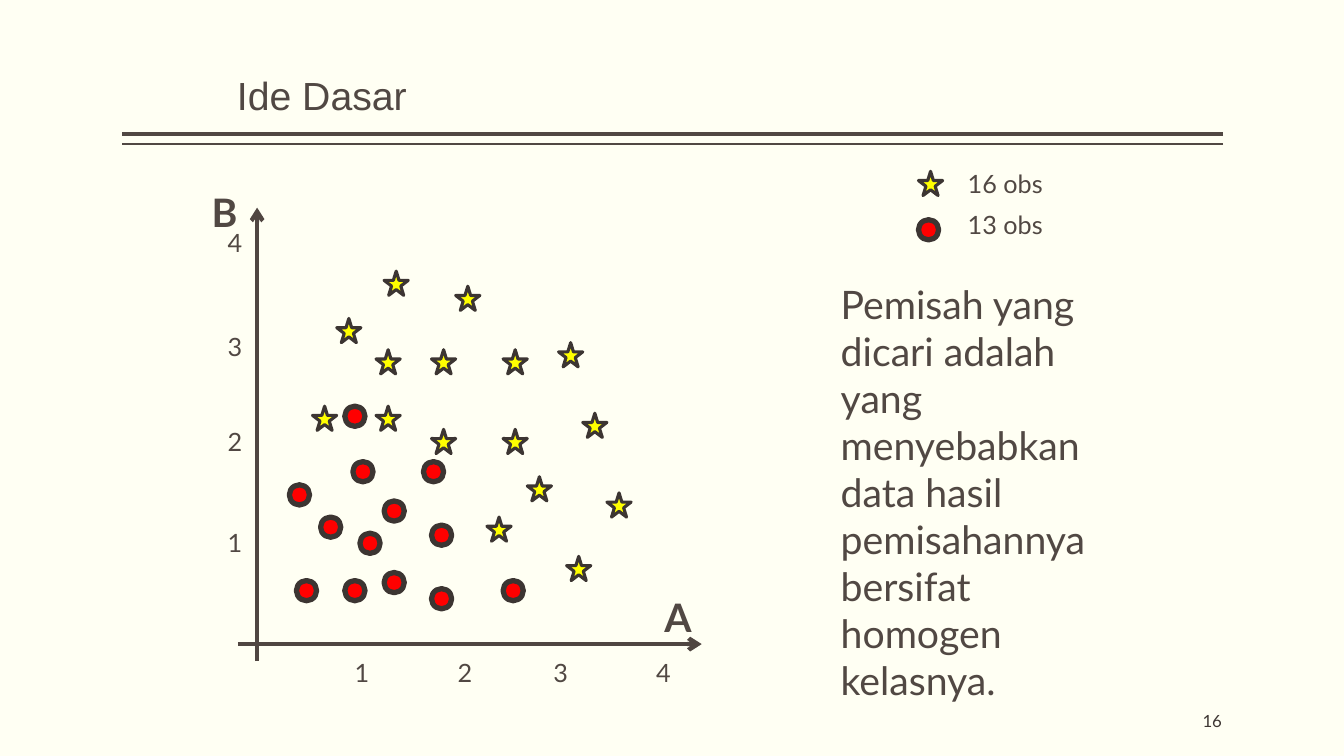
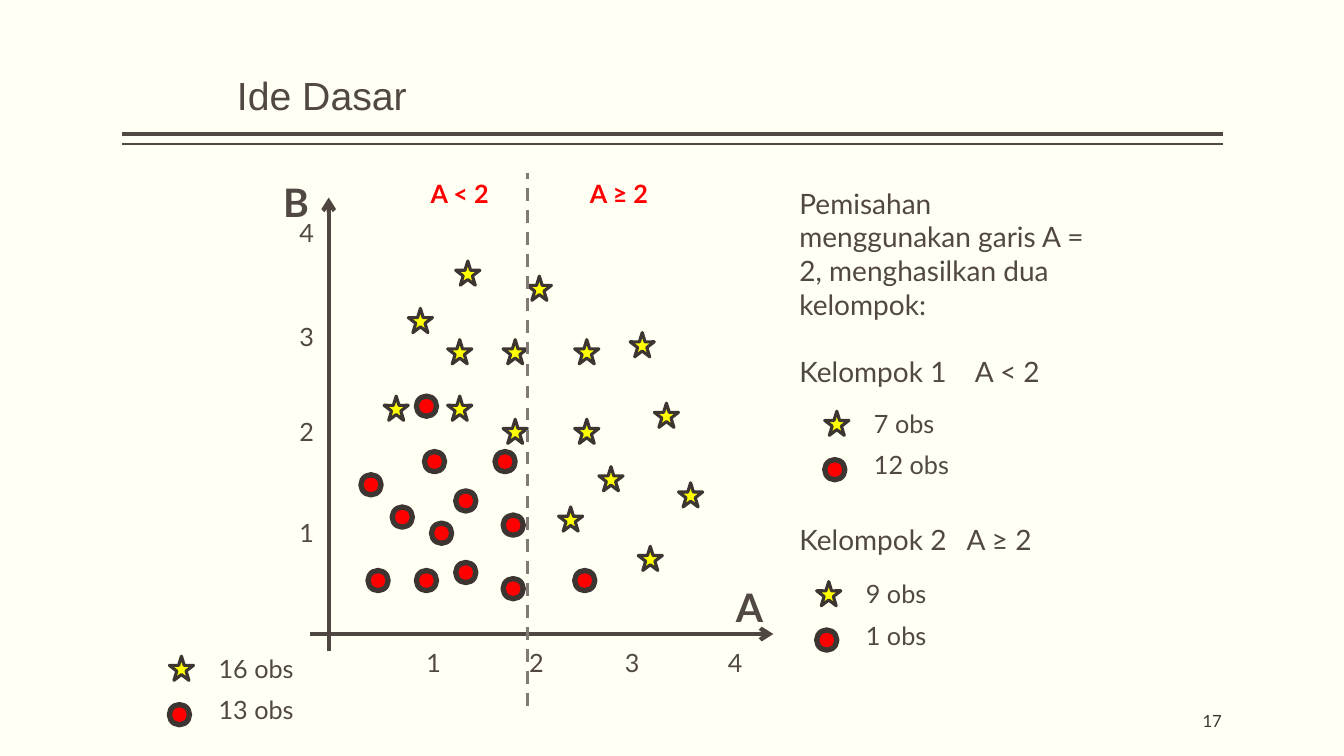
from dataclasses import dataclass
from typing import NamedTuple

from lxml.etree import SubElement
from pptx import Presentation
from pptx.dml.color import RGBColor
from pptx.enum.dml import MSO_LINE
from pptx.enum.shapes import MSO_CONNECTOR, MSO_SHAPE
from pptx.enum.text import MSO_ANCHOR, PP_ALIGN
from pptx.oxml.ns import qn
from pptx.shapes.connector import Connector
from pptx.shapes.shapetree import GroupShapes, SlideShapes
from pptx.slide import Slide
from pptx.text.text import TextFrame
from pptx.util import Inches, Pt

CREAM = RGBColor(0xFF, 0xFF, 0xF3)
BROWN = RGBColor(0x51, 0x48, 0x43)
AXIS = RGBColor(0x50, 0x46, 0x41)
EDGE = RGBColor(0x3C, 0x35, 0x32)
NUMBER = RGBColor(0x3D, 0x36, 0x32)
GREY = RGBColor(0x81, 0x7A, 0x74)
YELLOW = RGBColor(0xFF, 0xFF, 0x00)
RED = RGBColor(0xFF, 0x00, 0x00)

Tree = SlideShapes | GroupShapes


class Point(NamedTuple):
    x: float
    y: float


class Box(NamedTuple):
    x: float
    y: float
    w: float
    h: float


@dataclass(frozen=True)
class Style:
    size: float = 18
    color: RGBColor = BROWN
    bold: bool = False
    face: str = "Lato"
    align: PP_ALIGN = PP_ALIGN.LEFT


@dataclass(frozen=True)
class Mark:
    kind: MSO_SHAPE
    size: float
    fill: RGBColor
    edge: float


@dataclass(frozen=True)
class Line:
    """A text line; a tab stop of 0 means none."""
    text: str
    before: float = 0
    tab: float = 0


LABEL = Style()
AXIS_NAME = Style(28, bold=True)
SIDE = Style(18, RED, True, align=PP_ALIGN.CENTER)
TITLE = Style(28, face="Arial")
PAGE = Style(12, NUMBER, align=PP_ALIGN.RIGHT)

STAR = Mark(MSO_SHAPE.STAR_5_POINT, 0.24, YELLOW, 2.25)
DOT = Mark(MSO_SHAPE.FLOWCHART_CONNECTOR, 0.2, RED, 3.78)

# Places within the plot, measured from its top left corner
STARS = [
    (1.81, 0.87), (1.34, 1.34), (2.28, 1.65), (2.52, 1.02),
    (3.54, 1.58), (2.28, 2.44), (2.99, 1.65), (3.23, 2.91),
    (2.99, 2.44), (3.78, 2.28), (2.83, 3.31), (4.02, 3.07),
    (1.73, 2.21), (1.10, 2.21), (1.73, 1.65), (3.62, 3.70),
]
DOTS = [
    (1.50, 2.76), (2.20, 2.76), (1.81, 3.15), (1.18, 3.31),
    (1.81, 3.86), (2.28, 3.39), (1.57, 3.47), (2.99, 3.94),
    (2.28, 4.02), (1.42, 2.21), (0.87, 2.99), (1.42, 3.94),
    (0.94, 3.94),
]
TICKS_A = [(x, 4.65) for x in (1.42, 2.44, 3.39, 4.41)]
TICKS_B = [(0.16, y) for y in (3.36, 2.36, 1.42, 0.39)]


def add_text(tree: Tree, box: Box, lines: list[Line], style: Style) -> TextFrame:
    frame = tree.add_textbox(*map(Inches, box)).text_frame
    frame.word_wrap = True
    frame.text = "\n".join(line.text for line in lines)
    for para, line in zip(frame.paragraphs, lines):
        if line.tab:
            tabs = SubElement(para._p.get_or_add_pPr(), qn("a:tabLst"))
            SubElement(tabs, qn("a:tab"), pos=str(Inches(line.tab)), algn="l")
        if line.before:
            para.space_before = Pt(line.before)
        para.alignment = style.align
        font = para.font
        font.name, font.size, font.bold = style.face, Pt(style.size), style.bold
        font.color.rgb = style.color
    return frame


def add_line(tree: Tree, start: Point, end: Point, color: RGBColor,
             width: float) -> Connector:
    line = tree.add_connector(MSO_CONNECTOR.STRAIGHT,
                              *map(Inches, (*start, *end)))
    line.line.color.rgb = color
    line.line.width = Pt(width)
    SubElement(line.element.spPr, qn("a:effectLst"))
    return line


def add_axis(tree: Tree, start: Point, end: Point) -> None:
    axis = add_line(tree, start, end, AXIS, 3)
    SubElement(axis.element.spPr.find(qn("a:ln")), qn("a:tailEnd"), type="arrow")


def add_mark(tree: Tree, mark: Mark, x: float, y: float) -> None:
    shape = tree.add_shape(mark.kind, *map(Inches, (x, y, mark.size, mark.size)))
    shape.shadow.inherit = False
    shape.fill.solid()
    shape.fill.fore_color.rgb = mark.fill
    shape.line.color.rgb = EDGE
    shape.line.width = Pt(mark.edge)


def add_key(slide: Slide, x: float, y: float, stars: int, dots: int) -> None:
    """Draw a legend with the count of each kind of mark."""
    tree = slide.shapes.add_group_shape().shapes
    add_mark(tree, STAR, x, y)
    add_mark(tree, DOT, x, y + 0.48)
    for count, drop in ((stars, -0.08), (dots, 0.33)):
        add_text(tree, Box(x + 0.39, y + drop, 1.1, 0.4),
                 [Line(f"{count} obs")], LABEL)


def add_plot(slide: Slide, x: float, y: float) -> None:
    tree = slide.shapes.add_group_shape().shapes
    add_axis(tree, Point(x + 0.55, y + 4.74), Point(x + 0.55, y + 0.24))
    add_axis(tree, Point(x + 0.36, y + 4.57), Point(x + 4.96, y + 4.57))
    for ticks in (TICKS_B, TICKS_A):
        for value, (dx, dy) in enumerate(ticks, 1):
            add_text(tree, Box(x + dx, y + dy, 0.24, 0.4),
                     [Line(str(value))], LABEL)
    for mark, spots in ((STAR, STARS), (DOT, DOTS)):
        for dx, dy in spots:
            add_mark(tree, mark, x + dx, y + dy)
    for name, dx, dy in (("B", 0, 0), ("A", 4.49, 4.02)):
        add_text(tree, Box(x + dx, y + dy, 0.47, 0.57), [Line(name)], AXIS_NAME)


def add_slide(deck: Presentation, title: str, page: int) -> Slide:
    """Add a slide with the shared ground, title, rules and page number."""
    slide = deck.slides.add_slide(deck.slide_layouts[6])
    slide.background.fill.solid()
    slide.background.fill.fore_color.rgb = CREAM
    for y, width in ((1.33, 3), (1.43, 1)):
        add_line(slide.shapes, Point(12.13, y), Point(1.21, y), BROWN, width)
    head = add_text(slide.shapes, Box(2.35, 0.4, 8.62, 0.83),
                    [Line(title)], TITLE)
    head.paragraphs[0].line_spacing = 0.9
    foot = add_text(slide.shapes, Box(10.12, 6.95, 2, 0.4),
                    [Line(str(page))], PAGE)
    for frame, anchor in ((head, MSO_ANCHOR.BOTTOM), (foot, MSO_ANCHOR.MIDDLE)):
        frame.margin_left = frame.margin_right = 0
        frame.vertical_anchor = anchor
    return slide


def add_goal(deck: Presentation) -> None:
    slide = add_slide(deck, "Ide Dasar", 16)
    add_key(slide, 9.11, 1.7, 16, 13)
    add_text(slide.shapes, Box(8.24, 2.73, 3.15, 4.34), [
        Line("Pemisah yang dicari adalah yang menyebabkan data hasil "
             "pemisahannya bersifat homogen kelasnya."),
    ], Style(28))
    add_plot(slide, 2, 1.82)


def add_split(deck: Presentation) -> None:
    slide = add_slide(deck, "Ide Dasar", 17)
    add_key(slide, 1.68, 6.51, 16, 13)
    add_text(slide.shapes, Box(7.83, 1.8, 3.15, 4.14), [
        Line("Pemisahan menggunakan garis A = 2, menghasilkan dua kelompok:"),
        Line("Kelompok 1\tA < 2", 24, 1.74),
        Line("Kelompok 2\tA ≥ 2", 96, 1.66),
    ], Style(20))
    add_plot(slide, 2.71, 1.72)
    cut = add_line(slide.shapes, Point(5.23, 7), Point(5.23, 1.72), GREY, 2.25)
    cut.line.dash_style = MSO_LINE.DASH
    for text, x in (("A < 2", 3.97), ("A ≥ 2", 5.55)):
        add_text(slide.shapes, Box(x, 1.72, 1.18, 0.4), [Line(text)], SIDE)
    add_key(slide, 8.18, 4.08, 7, 12)
    add_key(slide, 8.1, 5.77, 9, 1)


def main() -> None:
    deck = Presentation()
    deck.slide_width, deck.slide_height = Inches(13.33), Inches(7.5)
    add_goal(deck)
    add_split(deck)
    deck.save("out.pptx")


if __name__ == "__main__":
    main()
